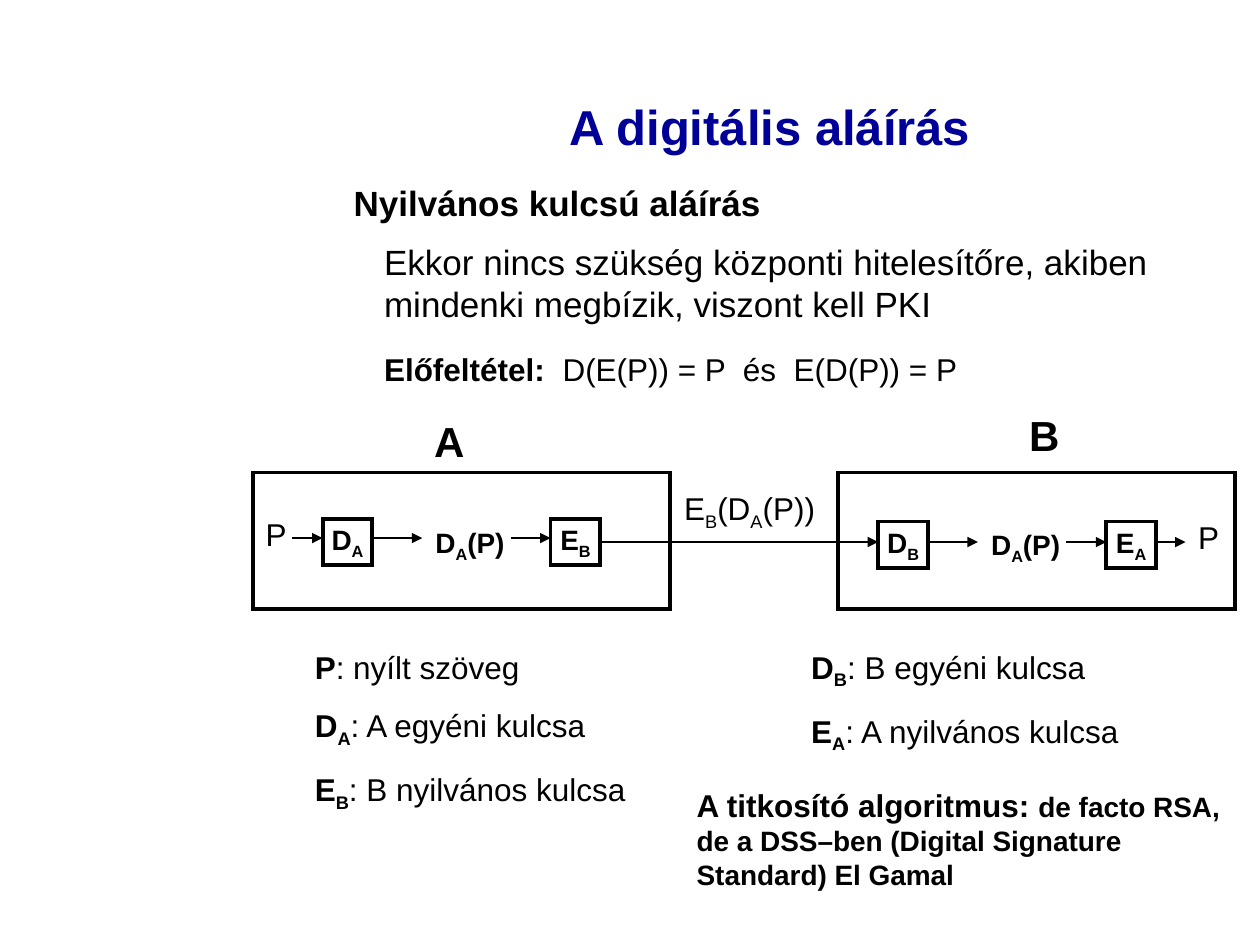
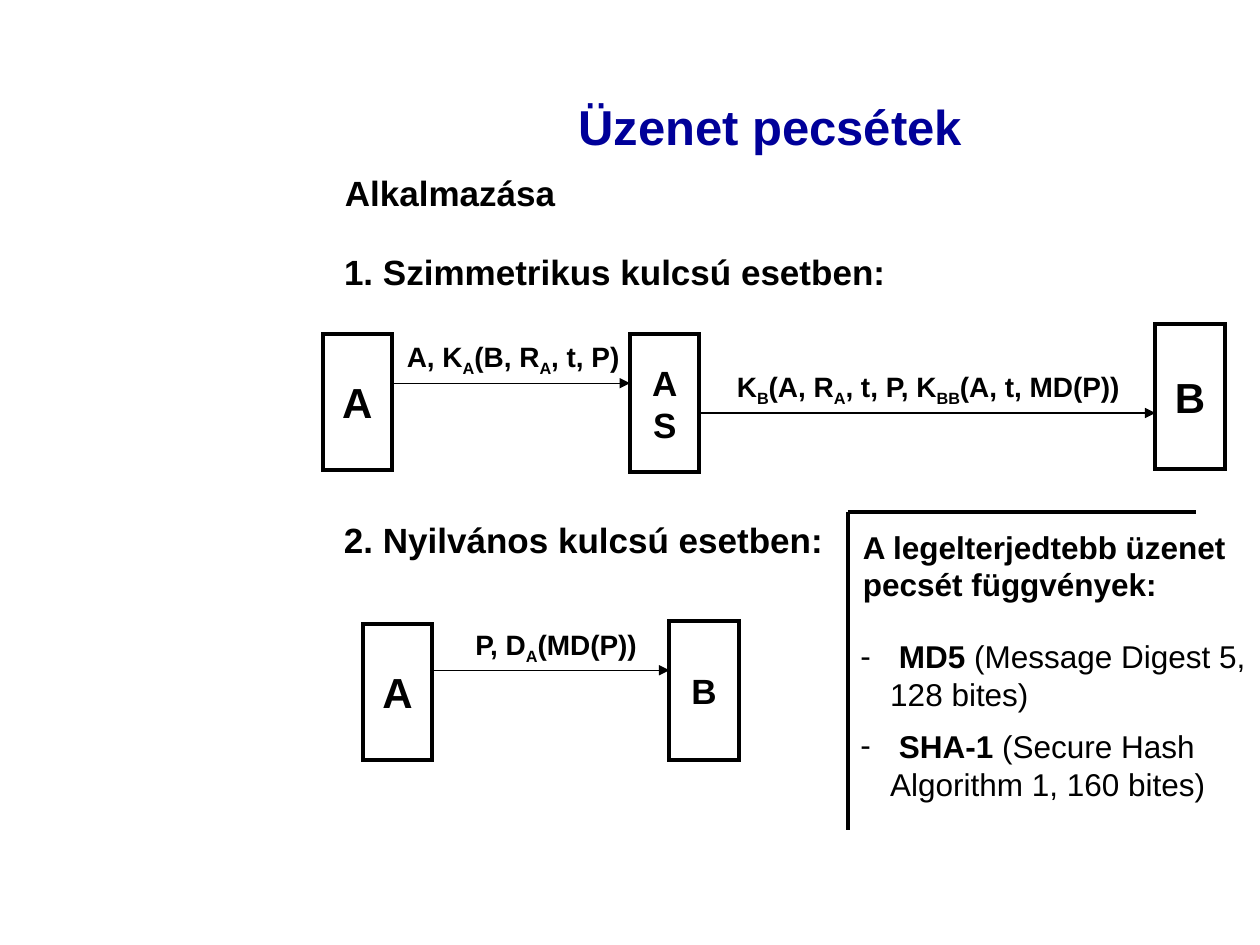
from dataclasses import dataclass
from typing import NamedTuple, Optional

from lxml.etree import SubElement
from pptx import Presentation
from pptx.dml.color import RGBColor
from pptx.enum.shapes import MSO_CONNECTOR, MSO_SHAPE
from pptx.enum.text import MSO_ANCHOR, MSO_AUTO_SIZE, PP_ALIGN
from pptx.oxml.ns import qn
from pptx.util import Pt

COLORS = {"title": "000099", "ink": "000000"}
FONT = "Arial"
THIN, THICK = 0.75, 2.25
TITLE_ONLY, TITLE_AND_BODY = 5, 1


class Run(NamedTuple):
    text: str
    bold: bool = False
    sub: bool = False
    size: Optional[float] = None


Paragraph = list[Run]


@dataclass
class Label:
    x: float
    y: float
    w: float
    h: float
    paragraphs: list[Paragraph]
    size: float
    wrap: bool = False
    gap: float = 0


@dataclass
class Box:
    x: float
    y: float
    w: float
    h: float
    paragraphs: Optional[list[Paragraph]] = None
    size: float = 16


@dataclass
class Line:
    x1: float
    y1: float
    x2: float
    y2: float
    width: float = THIN
    arrow: bool = True


def color(name: str) -> RGBColor:
    return RGBColor.from_string(COLORS[name])


def formula(*parts: str, bold: bool = True) -> Paragraph:
    return [Run(part, bold, i % 2 == 1) for i, part in enumerate(parts)]


def key_line(key: Paragraph, meaning: str) -> Paragraph:
    return key + [Run(": " + meaning)]


def write(tf, paragraphs: list[Paragraph], size: float, ink: str = "ink",
          align=PP_ALIGN.LEFT, gap: float = 0) -> None:
    for i, runs in enumerate(paragraphs):
        p = tf.paragraphs[0] if i == 0 else tf.add_paragraph()
        p.alignment = align
        p.space_before = Pt(gap if i else 0)
        for run in runs:
            r = p.add_run()
            r.text = run.text
            r.font.name = FONT
            r.font.size = Pt(run.size or size)
            r.font.bold = run.bold
            r.font.color.rgb = color(ink)
            if run.sub:
                r._r.get_or_add_rPr().set("baseline", "-25000")


def place(sp, x: float, y: float, w: float, h: float) -> None:
    sp.left, sp.top, sp.width, sp.height = Pt(x), Pt(y), Pt(w), Pt(h)


def add_titled_slide(prs, title: str, layout: int):
    s = prs.slides.add_slide(prs.slide_layouts[layout])
    sp = s.shapes.title
    place(sp, 196, 21.5, 488, 101)
    tf = sp.text_frame
    tf.auto_size = MSO_AUTO_SIZE.NONE
    tf.vertical_anchor = MSO_ANCHOR.MIDDLE
    write(tf, [[Run(title, True)]], 28, "title", PP_ALIGN.CENTER)
    return s


def add_label(s, label: Label) -> None:
    sp = s.shapes.add_textbox(Pt(label.x), Pt(label.y), Pt(label.w), Pt(label.h))
    tf = sp.text_frame
    tf.word_wrap = label.wrap
    tf.auto_size = MSO_AUTO_SIZE.SHAPE_TO_FIT_TEXT
    write(tf, label.paragraphs, label.size, gap=label.gap)


def add_box(s, box: Box):
    sp = s.shapes.add_shape(MSO_SHAPE.RECTANGLE, Pt(box.x), Pt(box.y), Pt(box.w), Pt(box.h))
    sp.shadow.inherit = False
    sp.fill.background()
    sp.line.color.rgb = color("ink")
    sp.line.width = Pt(THICK)
    SubElement(sp._element.spPr.find(qn("a:ln")), qn("a:miter"), lim="800000")
    if box.paragraphs:
        tf = sp.text_frame
        tf.word_wrap = False
        tf.vertical_anchor = MSO_ANCHOR.MIDDLE
        write(tf, box.paragraphs, box.size, align=PP_ALIGN.CENTER)
    return sp


def add_line(s, line: Line):
    cxn = s.shapes.add_connector(
        MSO_CONNECTOR.STRAIGHT, Pt(line.x1), Pt(line.y1), Pt(line.x2), Pt(line.y2))
    cxn.line.color.rgb = color("ink")
    cxn.line.width = Pt(line.width)
    sp_pr = cxn._element.spPr
    if line.arrow:
        SubElement(sp_pr.find(qn("a:ln")), qn("a:tailEnd"), type="triangle")
    SubElement(sp_pr, qn("a:effectLst"))
    return cxn


def add_key_chain(s, x: float, y: float, arrow_y: float, first: Paragraph, second: Paragraph):
    add_box(s, Box(x, y, 28.5, 26.5, [first]))
    last = add_box(s, Box(x + 130.3, y, 28.5, 26.5, [second]))
    add_label(s, Label(x + 57.5, y, 55, 29.5, [formula("D", "A", "(P)")], 16))
    for start, end in ((28.5, 57), (107.5, 130.3)):
        add_line(s, Line(x + start, arrow_y, x + end, arrow_y))
    return last


def add_dash_list(s, paragraphs: list[Paragraph]) -> None:
    sp = s.placeholders[1]
    place(sp, 484.5, 360.5, 235.5, 102)
    tf = sp.text_frame
    tf.auto_size = MSO_AUTO_SIZE.NONE
    write(tf, paragraphs, 18, gap=8)
    for p in tf.paragraphs:
        pPr = p._p.get_or_add_pPr()
        pPr.set("marL", str(Pt(17)))
        pPr.set("indent", str(Pt(-17)))
        SubElement(SubElement(pPr, qn("a:buClr")), qn("a:srgbClr"), val=COLORS["ink"])
        SubElement(pPr, qn("a:buChar"), char="-")


def build_signature_slide(prs) -> None:
    s = add_titled_slide(prs, "A digitális aláírás", TITLE_ONLY)
    d_a, d_b, e_a, e_b = (formula(*name) for name in ("DA", "DB", "EA", "EB"))
    wire_y = 309.75

    for frame in (Box(144.7, 270, 238.3, 77.8), Box(478.8, 270, 226.8, 77.8)):
        add_box(s, frame)
    sender_end = add_key_chain(s, 184.3, 296.5, 307.5, d_a, e_b)
    add_key_chain(s, 501.8, 298, wire_y, d_b, e_a)

    wire = add_line(s, Line(343.1, wire_y, 501.8, wire_y))
    wire.begin_connect(sender_end, 3)
    add_line(s, Line(167, 307.5, 184.3, 307.5))
    add_line(s, Line(660.5, wire_y, 677.5, wire_y))

    labels = [
        Label(212.4, 134, 493, 55.5, [[Run(
            "Ekkor nincs szükség központi hitelesítőre, akiben mindenki megbízik, "
            "viszont kell PKI")]], 20, True),
        Label(195, 100, 248, 31.5, [[Run("Nyilvános kulcsú aláírás", True)]], 20),
        Label(212.4, 196.5, 343, 29, [[
            Run("Előfeltétel:", True), Run("  D(E(P)) = P  és  E(D(P)) = P")]], 18),
        Label(241, 234, 32, 36, [[Run("A", True)]], 24),
        Label(581, 230.4, 32, 36, [[Run("B", True)]], 24),
        Label(144.7, 291, 26, 29, [[Run("P")]], 18),
        Label(677.5, 292.5, 26, 29, [[Run("P")]], 18),
        Label(383.8, 276, 92, 31.5, [formula("E", "B", "(D", "A", "(P))", bold=False)], 18),
        Label(172.8, 366.5, 244, 102, [
            key_line(formula("P"), "nyílt szöveg"),
            key_line(d_a, "A egyéni kulcsa"),
            key_line(e_b, "B nyilvános kulcsa")], 18, True, 12),
        Label(456.5, 366.5, 244, 68.5, [
            key_line(d_b, "B egyéni kulcsa"),
            key_line(e_a, "A nyilvános kulcsa")], 18, True, 12),
        Label(391, 445.7, 329, 67.7, [[
            Run("A titkosító algoritmus: ", True),
            Run("de facto RSA, de a DSS–ben (Digital Signature Standard) El Gamal",
                True, size=16)]], 18, True),
    ]
    for label in labels:
        add_label(s, label)


def build_digest_slide(prs) -> None:
    s = add_titled_slide(prs, "Üzenet pecsétek", TITLE_AND_BODY)
    a, b, server = [formula("A")], [formula("B")], [formula("A"), formula("S")]

    boxes = [
        Box(184.3, 190.8, 39.7, 77.8, a, 24),
        Box(360, 190.8, 39.7, 79.2, server, 20),
        Box(660.2, 185, 39.7, 82.8, b, 24),
        Box(207.3, 356.5, 39.7, 77.8, a, 24),
        Box(382.5, 355, 39.7, 79.2, b, 20),
    ]
    for box in boxes:
        add_box(s, box)

    lines = [
        Line(224, 219, 360, 219),
        Line(399.7, 236, 660.2, 236),
        Line(247, 383, 382.5, 383),
        Line(484.6, 292.5, 484.6, 474.3, THICK, False),
        Line(484.6, 292.5, 683.3, 292.5, THICK, False),
    ]
    for line in lines:
        add_line(s, line)

    labels = [
        Label(190, 94.5, 136, 31.5, [[Run("Alkalmazása", True)]], 20),
        Label(189.5, 139.7, 326, 31.5, [[Run("1. Szimmetrikus kulcsú esetben:", True)]], 20),
        Label(189.5, 292.5, 291, 31.5, [[Run("2. Nyilvános kulcsú esetben:", True)]], 20),
        Label(225.4, 190.5, 137, 29.5, [formula("A, K", "A", "(B, R", "A", ", t, P)")], 16),
        Label(414, 207.5, 236, 29.5, [formula(
            "K", "B", "(A, R", "A", ", t, P, K", "BB", "(A, t, MD(P))")], 16),
        Label(264.5, 355, 109.5, 29.5, [formula("P, D", "A", "(MD(P))")], 16),
        Label(486, 298, 234, 50.5, [[
            Run("A legelterjedtebb üzenet pecsét függvények:", True)]], 18, True),
    ]
    for label in labels:
        add_label(s, label)

    add_dash_list(s, [
        [Run(" "), Run("MD5 ", True), Run("(Message Digest 5, 128 bites)")],
        [Run(" "), Run("SHA-1", True), Run(" (Secure Hash Algorithm 1, 160 bites)")],
    ])


def main() -> None:
    prs = Presentation()
    prs.slide_width, prs.slide_height = Pt(720), Pt(540)
    build_signature_slide(prs)
    build_digest_slide(prs)
    prs.save("out.pptx")


if __name__ == "__main__":
    main()
